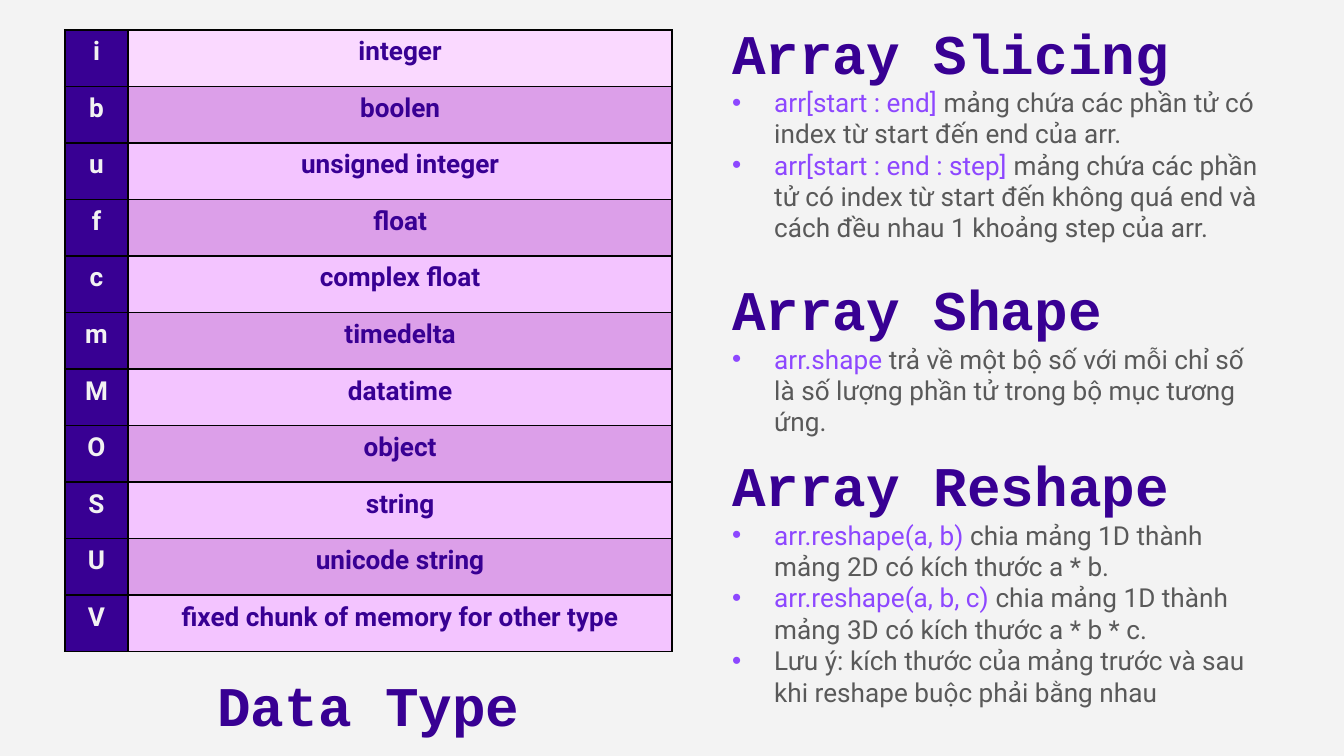
from dataclasses import dataclass
from lxml.etree import SubElement
from pptx import Presentation
from pptx.dml.color import RGBColor as RGB
from pptx.enum.text import MSO_ANCHOR as Anchor, PP_ALIGN as Align
from pptx.oxml.ns import qn
from pptx.util import Pt


@dataclass(frozen=True)
class Theme:
    page: str = "F3F3F3"
    indigo: str = "380093"
    violet: str = "8D47FF"
    grey: str = "595959"
    code: str = "F2F2F2"
    first_row: str = "FAD9FF"
    light_row: str = "F3C4FF"
    dark_row: str = "DC9FE9"
    border: str = "000000"
    heading_font: str = "Courier New"
    body_font: str = "Roboto"
    heading_size: int = 30
    body_size: int = 14


theme = Theme()

# Content
data_types = [
    ("i", "integer"), ("b", "boolen"), ("u", "unsigned integer"),
    ("f", "float"), ("c", "complex float"), ("m", "timedelta"),
    ("M", "datatime"), ("O", "object"), ("S", "string"),
    ("U", "unicode string"), ("V", "fixed chunk of memory for other type"),
]
table_title = "Data Type"
# Each section: heading, top, body height, (code, explanation) pairs
sections = [
    ("Array Slicing", 0, 98, [
        ("arr[start : end] ", "mảng chứa các phần tử có index từ start đến end của arr."),
        ("arr[start : end : step] ", "mảng chứa các phần tử có index từ start đến "
         "không quá end và cách đều nhau 1 khoảng step của arr."),
    ]),
    ("Array Shape", 137.5, 55.5, [
        ("arr.shape ", "trả về một bộ số với mỗi chỉ số là số lượng phần tử "
         "trong bộ mục tương ứng."),
    ]),
    ("Array Reshape", 231.9, 122.5, [
        ("arr.reshape(a, b) ", "chia mảng 1D thành mảng 2D có kích thước a * b."),
        ("arr.reshape(a, b, c) ", "chia mảng 1D thành mảng 3D có kích thước a * b * c."),
        ("", "Lưu ý: kích thước của mảng trước và sau khi reshape buộc phải bằng nhau"),
    ]),
]

# Layout
table_left, table_top, row_height = 34.7, 16, 30.3
code_width, name_width = 34, 291.4
table_width = code_width + name_width
table_height = row_height * len(data_types)
section_left, section_width = 385.2, 300.2
heading_height, body_offset = 55.5, 39
inset, indent = 7.2, 22.5


def style(run, font, size, color, bold=False):
    run.font.name, run.font.size, run.font.bold = font, Pt(size), bold
    run.font.color.rgb = RGB.from_string(color)


def add_frame(shapes, left, top, width, height, anchor):
    frame = shapes.add_textbox(Pt(left), Pt(top), Pt(width), Pt(height)).text_frame
    frame.word_wrap = True
    frame.vertical_anchor = anchor
    frame.margin_left = frame.margin_right = Pt(inset)
    frame.margin_top = frame.margin_bottom = Pt(inset)
    return frame


def add_heading(shapes, text, left, top, width, align):
    frame = add_frame(shapes, left, top, width, heading_height, Anchor.MIDDLE)
    frame.text = text
    heading = frame.paragraphs[0]
    heading.alignment = align
    style(heading.runs[0], theme.heading_font, theme.heading_size, theme.indigo, True)


def set_bullet(paragraph):
    props = paragraph._p.get_or_add_pPr()
    props.set("marL", str(Pt(indent)))
    props.set("indent", str(-Pt(indent)))
    SubElement(SubElement(props, qn("a:buClr")), qn("a:srgbClr"), val=theme.violet)
    SubElement(props, qn("a:buFont"), typeface="Arial")
    SubElement(props, qn("a:buChar"), char="•")


def fill_cell(cell, text, color, background):
    cell.text = text
    label = cell.text_frame.paragraphs[0]
    label.alignment = Align.CENTER
    style(label.runs[0], theme.body_font, theme.body_size, color, True)
    cell.fill.solid()
    cell.fill.fore_color.rgb = RGB.from_string(background)
    props = cell._tc.get_or_add_tcPr()
    for position, side in enumerate(("lnL", "lnR", "lnT", "lnB")):
        line = SubElement(props, qn(f"a:{side}"), w=str(Pt(1)))
        SubElement(SubElement(line, qn("a:solidFill")), qn("a:srgbClr"), val=theme.border)
        props.insert(position, line)


# Slide
deck = Presentation()
deck.slide_width, deck.slide_height = Pt(720), Pt(405)
slide = deck.slides.add_slide(deck.slide_layouts[6])
slide.background.fill.solid()
slide.background.fill.fore_color.rgb = RGB.from_string(theme.page)

# Data type table
type_table = slide.shapes.add_table(
    len(data_types), 2, Pt(table_left), Pt(table_top), Pt(table_width), Pt(table_height)).table
type_table.first_row = type_table.horz_banding = False
for column, width in zip(type_table.columns, (code_width, name_width)):
    column.width = Pt(width)
for index, (code, name) in enumerate(data_types):
    type_table.rows[index].height = Pt(row_height)
    shade = theme.dark_row if index % 2 else theme.light_row if index else theme.first_row
    fill_cell(type_table.cell(index, 0), code, theme.code, theme.indigo)
    fill_cell(type_table.cell(index, 1), name, theme.indigo, shade)
add_heading(slide.shapes, table_title, table_left, table_top + table_height, table_width,
            Align.CENTER)

# Array sections
for title, top, body_height, points in sections:
    section = slide.shapes.add_group_shape().shapes
    add_heading(section, title, section_left, top, section_width, Align.LEFT)
    body = add_frame(section, section_left, top + body_offset, section_width, body_height,
                     Anchor.TOP)
    for index, (code, explanation) in enumerate(points):
        point = body.add_paragraph() if index else body.paragraphs[0]
        set_bullet(point)
        for text, color in ((code, theme.violet), (explanation, theme.grey)):
            if text:
                run = point.add_run()
                run.text = text
                style(run, theme.body_font, theme.body_size, color)

deck.save("out.pptx")
